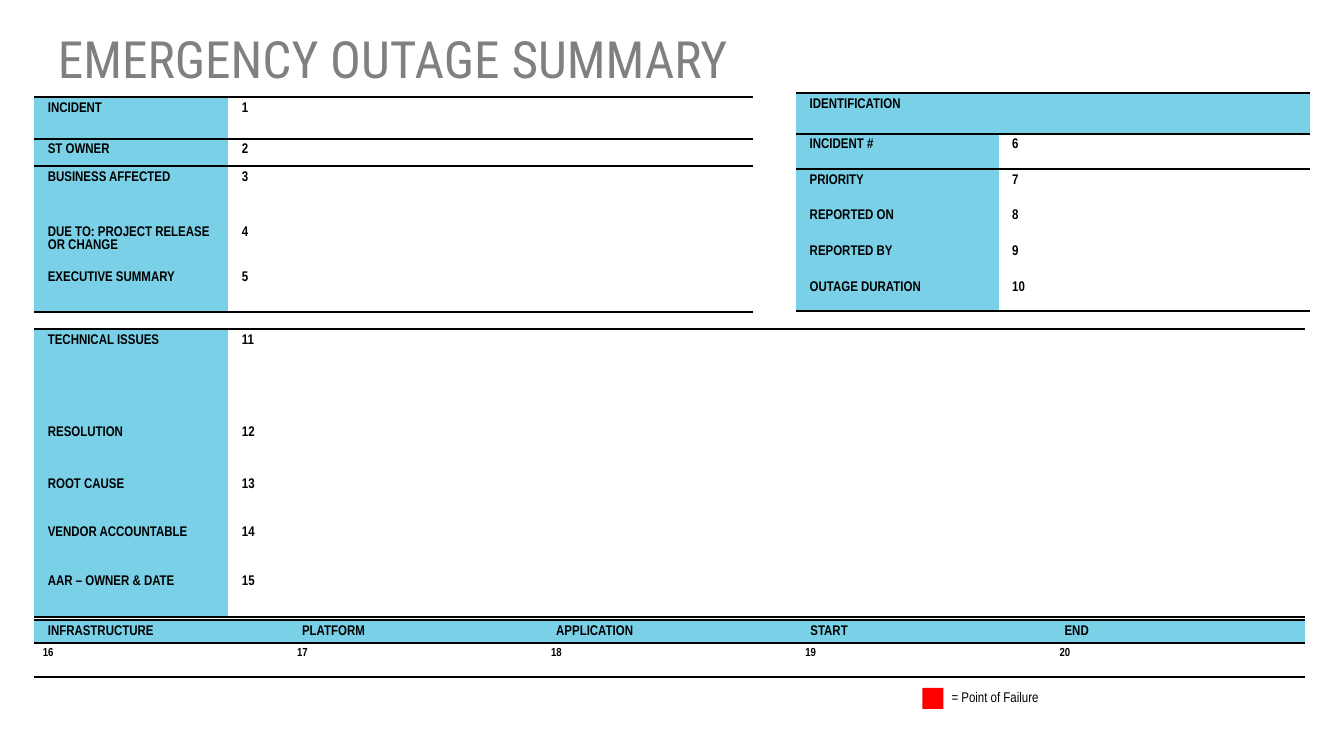
import pptx
import pptx.dml.color
import pptx.enum.shapes
import pptx.enum.text
import pptx.oxml
import pptx.oxml.ns
import pptx.util
from dataclasses import dataclass


@dataclass(frozen=True)
class Theme:
    """Colours, fonts and type sizes of the slide."""
    label_fill = pptx.dml.color.RGBColor.from_string("79D0E7")
    white = pptx.dml.color.RGBColor.from_string("FFFFFF")
    black = pptx.dml.color.RGBColor.from_string("000000")
    failure = pptx.dml.color.RGBColor.from_string("FF0000")
    title_grey = pptx.dml.color.RGBColor.from_string("808080")
    title_font = "Roboto Condensed"
    body_font = "Arial Narrow"
    title_size = 44
    body_size = 12
    small_size = 10
    rule_width = pptx.util.Pt(2)
    no_table_style = "{2D5ABB26-0587-4C30-8999-92F81FD0307C}"


theme = Theme()
presentation = pptx.Presentation()
presentation.slide_width = pptx.util.Inches(16)
presentation.slide_height = pptx.util.Inches(9)
COLUMN = presentation.slide_width // 16
ROW = presentation.slide_height // 9
LEFT = 0.41
LABEL_WIDTH = 2.31
FULL_WIDTH = 15.13


def add_text(paragraph, text, size, color, font, bold=False):
    """Add one formatted run to a paragraph."""
    run = paragraph.add_run()
    run.text = text
    run.font.size = pptx.util.Pt(size)
    run.font.name = font
    run.font.bold = bold
    run.font.color.rgb = color


def add_form(left, top, widths, heights, texts, rules, header=False):
    """Add a form table; rules lists the row edges that carry a line."""
    frame = slide.shapes.add_table(
        len(heights), len(widths), int(left * COLUMN), int(top * ROW),
        int(sum(widths) * COLUMN), int(sum(heights) * ROW))
    table = frame.table
    table.first_row = table.horz_banding = False
    style = table._tbl.tblPr.find(pptx.oxml.ns.qn("a:tableStyleId"))
    style.text = theme.no_table_style
    for column, width in zip(table.columns, widths):
        column.width = int(width * COLUMN)
    for row_index, height in enumerate(heights):
        table.rows[row_index].height = int(height * ROW)
        for column_index, text in enumerate(texts[row_index]):
            cell = table.cell(row_index, column_index)
            is_label = row_index == 0 if header else column_index == 0 or not text
            is_small = header and not is_label
            side, edge = (0.1, 0.05) if is_small else (0.16, 0.06)
            cell.margin_left = cell.margin_right = int(side * COLUMN)
            cell.margin_top = cell.margin_bottom = int(edge * ROW)
            properties = cell._tc.get_or_add_tcPr()
            for tag, boundary in (("lnT", row_index), ("lnB", row_index + 1)):
                if boundary in rules:
                    properties.append(pptx.oxml.parse_xml(
                        f'<a:{tag} {pptx.oxml.ns.nsdecls("a")} w="{theme.rule_width}">'
                        f'<a:solidFill><a:srgbClr val="{theme.black}"/></a:solidFill>'
                        f'</a:{tag}>'))
            cell.fill.solid()
            cell.fill.fore_color.rgb = theme.label_fill if is_label else theme.white
            if text:
                size = theme.small_size if is_small else theme.body_size
                add_text(cell.text_frame.paragraphs[0], text, size,
                         theme.black, theme.body_font, bold=True)


slide = presentation.slides.add_slide(presentation.slide_layouts[5])

# Title
title = slide.shapes.title
title.left, title.top = int(0.46 * COLUMN), int(0.35 * ROW)
title.width, title.height = int(FULL_WIDTH * COLUMN), int(0.84 * ROW)
title_frame = title.text_frame
title_frame.auto_size = pptx.enum.text.MSO_AUTO_SIZE.NONE
title_frame.vertical_anchor = pptx.enum.text.MSO_ANCHOR.MIDDLE
title_frame.margin_left = title_frame.margin_right = int(0.23 * COLUMN)
title_frame.margin_top = title_frame.margin_bottom = int(0.11 * ROW)
title_paragraph = title_frame.paragraphs[0]
title_paragraph.alignment = pptx.enum.text.PP_ALIGN.LEFT
title_paragraph.line_spacing = 0.75
add_text(title_paragraph, "EMERGENCY OUTAGE SUMMARY", theme.title_size,
         theme.title_grey, theme.title_font)

# Form sections, with fields numbered in reading order
identification = ["INCIDENT #", "PRIORITY", "REPORTED ON", "REPORTED BY",
                  "OUTAGE DURATION"]
incident = ["INCIDENT", "ST OWNER", "BUSINESS AFFECTED",
            "DUE TO: PROJECT RELEASE OR CHANGE", "EXECUTIVE SUMMARY"]
technical = ["TECHNICAL ISSUES", "RESOLUTION", "ROOT CAUSE",
             "VENDOR ACCOUNTABLE", "AAR – OWNER & DATE"]
systems = ["INFRASTRUCTURE", "PLATFORM", "APPLICATION", "START", "END"]
incident_rows, identification_rows, technical_rows = [
    [(label, str(number)) for number, label in enumerate(labels, start)]
    for labels, start in ((incident, 1), (identification, 6), (technical, 11))]

add_form(9.48, 1.11, [2.41, 3.7], [0.48] + [0.424] * 5,
         [("IDENTIFICATION", "")] + identification_rows, {0, 1, 6})
add_form(LEFT, 1.16, [LABEL_WIDTH, 6.25], [0.49, 0.33, 0.65, 0.54, 0.54],
         incident_rows, {0, 1, 5})
add_form(LEFT, 3.92, [LABEL_WIDTH, FULL_WIDTH - LABEL_WIDTH],
         [1.09, 0.62, 0.58, 0.58, 0.56], technical_rows, {0, 5})
add_form(LEFT, 7.38, [FULL_WIDTH / 5] * 5, [0.28, 0.4],
         [systems, [str(number) for number in range(16, 21)]], {0, 1, 2},
         header=True)

# Legend
legend = slide.shapes.add_group_shape()
marker = legend.shapes.add_shape(
    pptx.enum.shapes.MSO_SHAPE.RECTANGLE, int(10.98 * COLUMN), int(8.19 * ROW),
    int(0.25 * COLUMN), int(0.25 * ROW))
marker.shadow.inherit = False
marker.fill.solid()
marker.fill.fore_color.rgb = theme.failure
marker.line.fill.background()
caption = legend.shapes.add_textbox(
    int(11.23 * COLUMN), int(8.15 * ROW), int(2.03 * COLUMN), int(0.3 * ROW))
caption.text_frame.word_wrap = True
caption.text_frame.auto_size = pptx.enum.text.MSO_AUTO_SIZE.SHAPE_TO_FIT_TEXT
add_text(caption.text_frame.paragraphs[0], "= Point of Failure",
         theme.body_size, theme.black, theme.body_font)

presentation.save("out.pptx")
